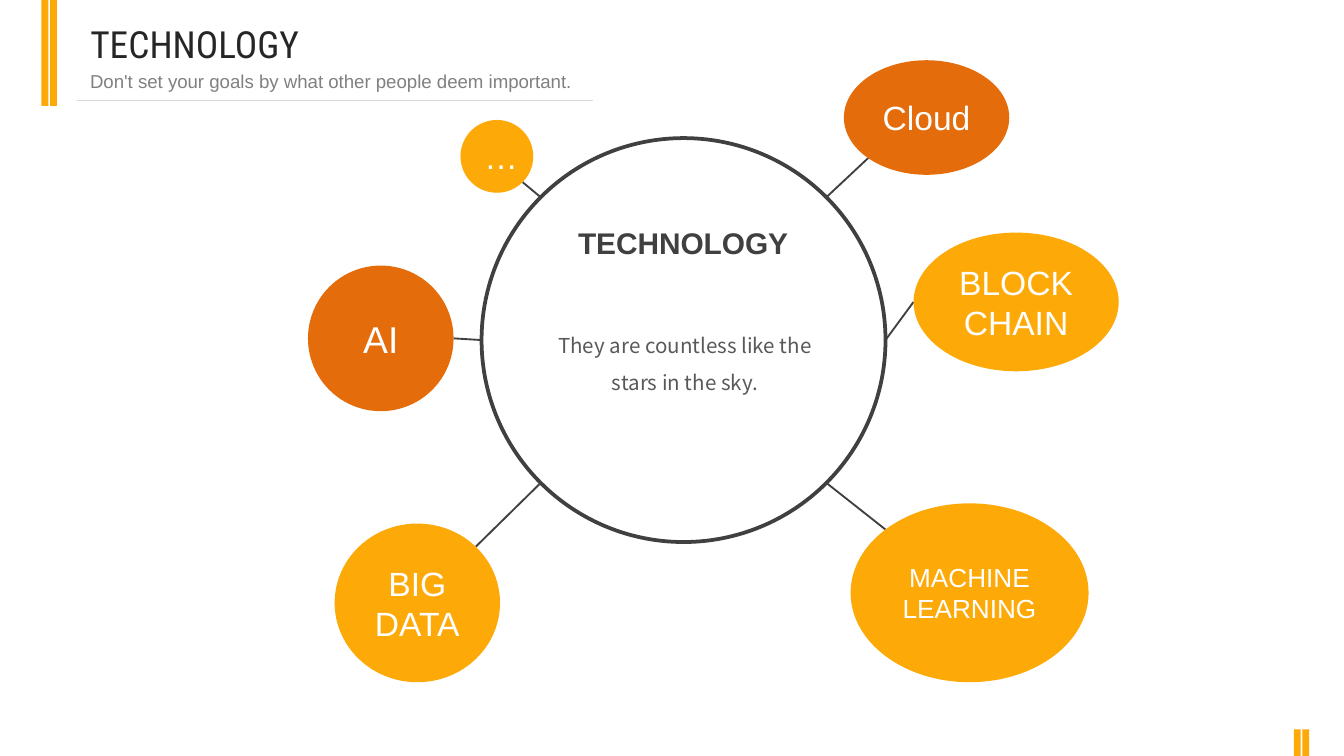
"""Build a slide with a central technology ring and six linked topics."""
from lxml.etree import SubElement
from pptx import Presentation
from pptx.dml.color import RGBColor
from pptx.enum.shapes import MSO_CONNECTOR, MSO_SHAPE
from pptx.enum.text import MSO_ANCHOR, MSO_AUTO_SIZE, PP_ALIGN
from pptx.oxml.ns import qn
from pptx.util import Pt

AMBER = RGBColor(0xFD, 0xA9, 0x07)
ORANGE = RGBColor(0xE4, 0x6C, 0x0A)
WHITE = RGBColor(0xFF, 0xFF, 0xFF)
RULE_GRAY = RGBColor(0xD9, 0xD9, 0xD9)
TITLE_GRAY = RGBColor(0x26, 0x26, 0x26)
SUBTITLE_GRAY = RGBColor(0x80, 0x80, 0x80)
DARK_GRAY = RGBColor(0x40, 0x40, 0x40)
BODY_GRAY = RGBColor(0x59, 0x59, 0x59)


def write_text(shape, text, font_name, size, color, alignment, bold=False):
    paragraph = shape.text_frame.paragraphs[0]
    paragraph.alignment = alignment
    run = paragraph.add_run()
    run.text = text
    run.font.name = font_name
    run.font.size = Pt(size)
    run.font.bold = bold
    run.font.color.rgb = color
    return paragraph


def add_line(start_x, start_y, end_x, end_y, color, width):
    connector = slide.shapes.add_connector(
        MSO_CONNECTOR.STRAIGHT, Pt(start_x), Pt(start_y), Pt(end_x), Pt(end_y)
    )
    connector.line.color.rgb = color
    connector.line.width = Pt(width)
    SubElement(connector._element.spPr, qn("a:effectLst"))


presentation = Presentation()
presentation.slide_width = Pt(720)
presentation.slide_height = Pt(405)
slide = presentation.slides.add_slide(presentation.slide_layouts[5])

bars = [
    (22.2, 0, 56.8),
    (26.8, 0, 56.8),
    (693.1, 390.8, 14.2),
    (697.7, 390.8, 14.2),
]
for left, top, height in bars:
    bar = slide.shapes.add_shape(
        MSO_SHAPE.RECTANGLE, Pt(left), Pt(top), Pt(3.7), Pt(height)
    )
    bar.shadow.inherit = False
    bar.fill.solid()
    bar.fill.fore_color.rgb = AMBER
    bar.line.fill.background()

add_line(41.2, 53.7, 317.7, 53.7, RULE_GRAY, 0.75)

title = slide.shapes.title
title.left, title.top, title.width, title.height = Pt(41.2), Pt(7.9), Pt(304.6), Pt(31.5)
title.text_frame.vertical_anchor = MSO_ANCHOR.TOP
title.text_frame.auto_size = MSO_AUTO_SIZE.NONE
write_text(title, "TECHNOLOGY", "Roboto Condensed", 20, TITLE_GRAY, PP_ALIGN.LEFT)

ring = slide.shapes.add_shape(MSO_SHAPE.OVAL, Pt(258), Pt(74), Pt(216.4), Pt(216.4))
ring.shadow.inherit = False
ring.fill.background()
ring.line.color.rgb = DARK_GRAY
ring.line.width = Pt(2)

subtitle = slide.shapes.add_textbox(Pt(41.2), Pt(33.9), Pt(304.6), Pt(19.4))
subtitle.text_frame.word_wrap = True
write_text(
    subtitle,
    "Don't set your goals by what other people deem important.",
    "Arial", 10, SUBTITLE_GRAY, PP_ALIGN.LEFT,
)

description = slide.shapes.add_textbox(Pt(282), Pt(168.5), Pt(170), Pt(47.5))
description.text_frame.word_wrap = True
paragraph = write_text(
    description,
    "They are countless like the stars in the sky.",
    "Noto Sans CJK SC", 11, BODY_GRAY, PP_ALIGN.CENTER,
)
paragraph.line_spacing = 1.5

heading = slide.shapes.add_textbox(Pt(301.9), Pt(116.9), Pt(128.2), Pt(26.6))
heading.text_frame.word_wrap = False
write_text(heading, "TECHNOLOGY", "Arial", 16, DARK_GRAY, PP_ALIGN.CENTER, bold=True)

topics = [
    ("Cloud", 18, ORANGE, (452.1, 32.3, 88.6, 61.4), (442.7, 105.7, 465.1, 84.7)),
    ("…", 18, AMBER, (246.7, 64.3, 39, 39), (289.7, 105.7, 280, 97.6)),
    ("AI", 20, ORANGE, (165, 142.3, 78, 78), (258, 182.2, 243, 181.3)),
    ("MACHINE LEARNING", 14, AMBER, (455.7, 269.7, 127.5, 95.8), (442.7, 258.7, 474.4, 283.7)),
    ("BIG DATA", 18, AMBER, (179.3, 280.5, 88.6, 85), (289.7, 258.7, 254.9, 292.9)),
    ("BLOCKCHAIN", 18, AMBER, (489.4, 124.6, 109.9, 74.3), (474.4, 182.2, 489.4, 161.8)),
]
for label, size, color, bounds, link in topics:
    add_line(*link, DARK_GRAY, 1)
    bubble = slide.shapes.add_shape(MSO_SHAPE.OVAL, *map(Pt, bounds))
    bubble.shadow.inherit = False
    bubble.fill.solid()
    bubble.fill.fore_color.rgb = color
    bubble.line.fill.background()
    bubble.text_frame.word_wrap = True
    bubble.text_frame.vertical_anchor = MSO_ANCHOR.MIDDLE
    write_text(bubble, label, "Arial", size, WHITE, PP_ALIGN.CENTER)

presentation.save("out.pptx")
